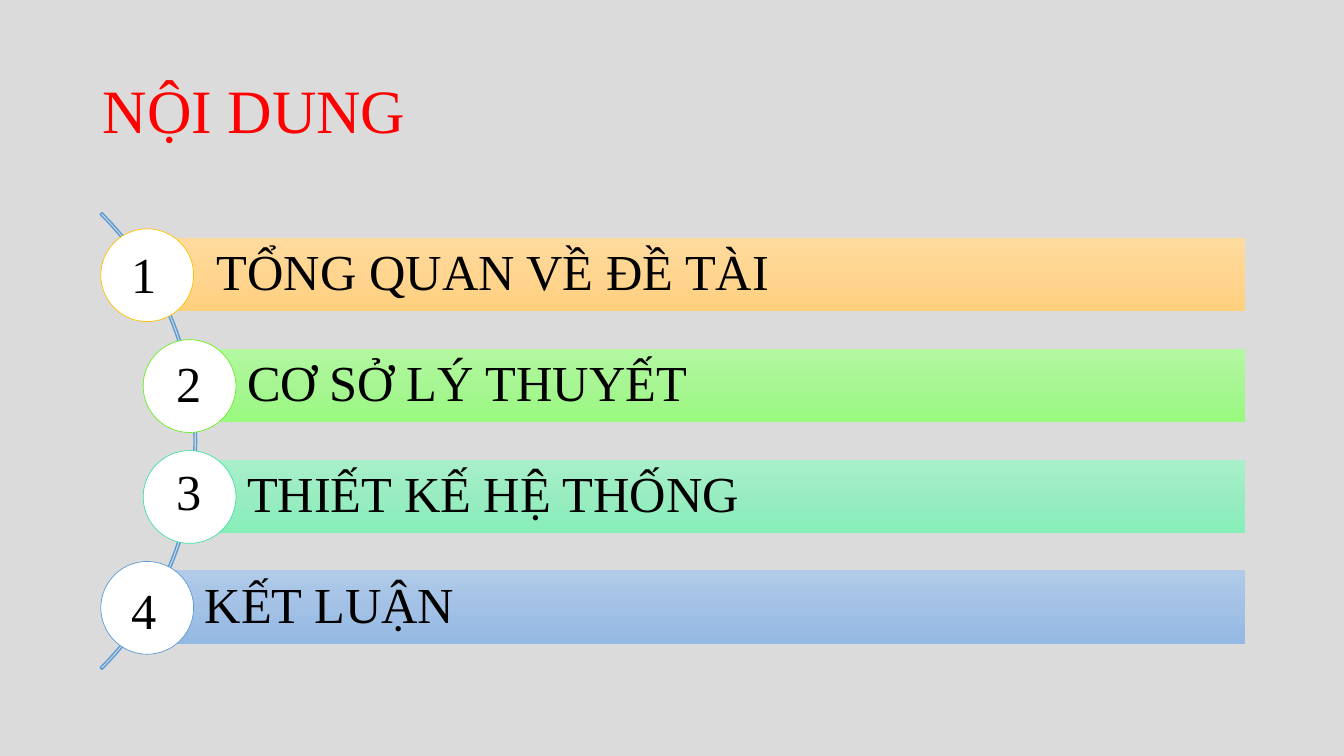
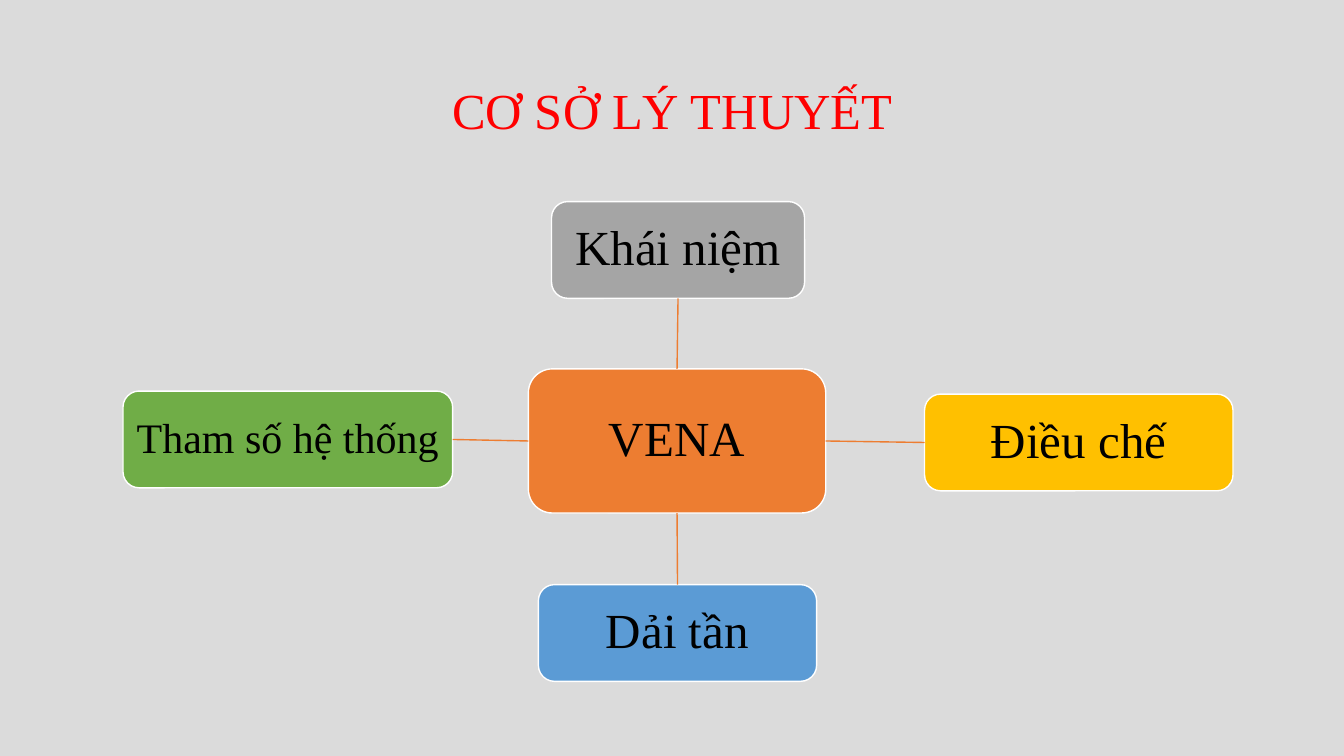
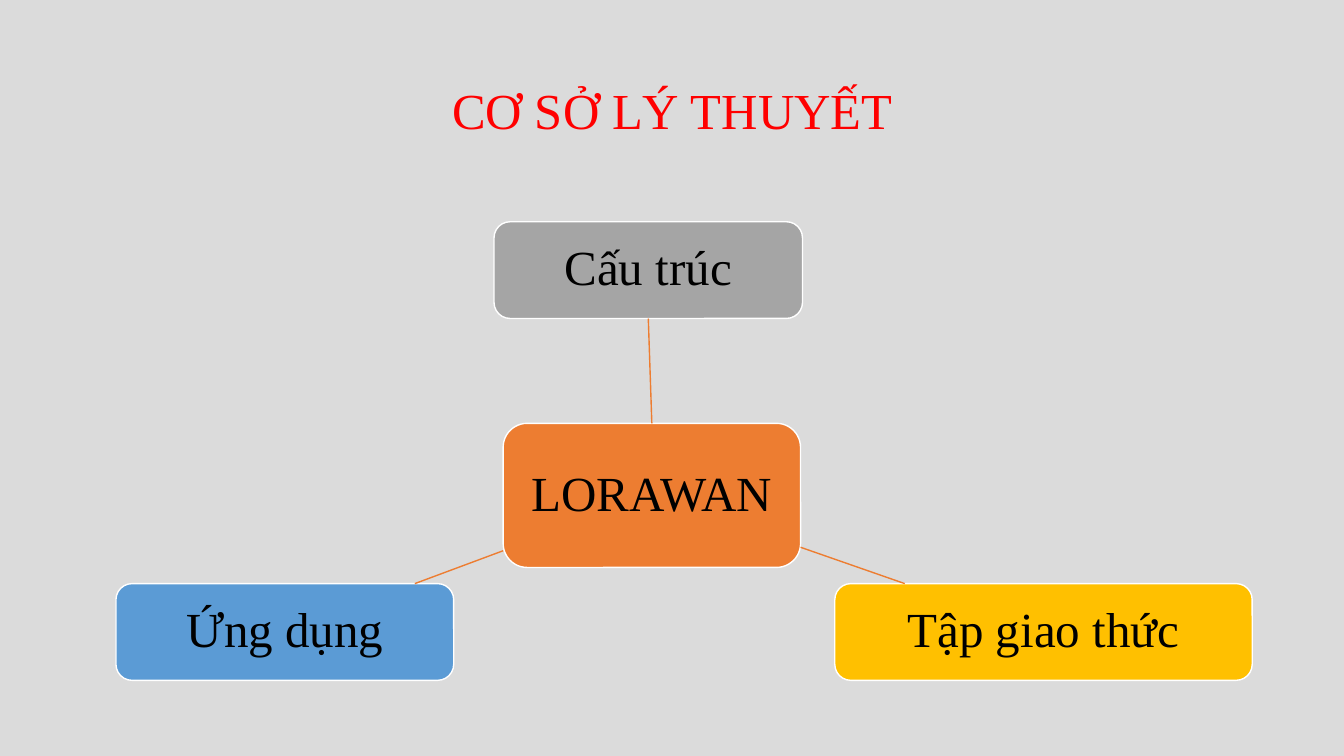
from copy import deepcopy
from typing import NamedTuple

from pptx import Presentation
from pptx.dml.color import RGBColor
from pptx.enum import shapes, text
from pptx.oxml import ns
from pptx.util import Inches, Pt

FONT = "Times New Roman"
BACKGROUND = RGBColor(0xDB, 0xDB, 0xDB)
RED = RGBColor(0xFF, 0x00, 0x00)
BLACK = RGBColor(0x00, 0x00, 0x00)
WHITE = RGBColor(0xFF, 0xFF, 0xFF)
BLUE = RGBColor(0x5B, 0x9B, 0xD5)
ORANGE = RGBColor(0xED, 0x7D, 0x31)
GRAY = RGBColor(0xA5, 0xA5, 0xA5)
GOLD = RGBColor(0xFF, 0xC0, 0x00)
GREEN = RGBColor(0x70, 0xAD, 0x47)
LIME = RGBColor(0x67, 0xEF, 0x21)
MINT = RGBColor(0x3F, 0xE1, 0x9B)

# Gradient stops of the agenda bars, top to bottom
GOLD_BAR = [RGBColor(0xFF, 0xDB, 0x9E), RGBColor(0xFF, 0xD5, 0x90), RGBColor(0xFF, 0xD0, 0x7C)]
LIME_BAR = [RGBColor(0xB3, 0xF8, 0xA1), RGBColor(0xA7, 0xF6, 0x93), RGBColor(0x98, 0xFA, 0x7E)]
MINT_BAR = [RGBColor(0xA8, 0xF0, 0xCA), RGBColor(0x99, 0xEC, 0xC1), RGBColor(0x86, 0xEE, 0xB9)]
BLUE_BAR = [RGBColor(0xB1, 0xCB, 0xE9), RGBColor(0xA3, 0xC1, 0xE5), RGBColor(0x93, 0xB9, 0xE4)]

LEFT, CENTER = text.PP_ALIGN.LEFT, text.PP_ALIGN.CENTER
TOP_SIDE, LEFT_SIDE, BOTTOM_SIDE, RIGHT_SIDE = range(4)


class Box(NamedTuple):
    left: float
    top: float
    width: float
    height: float

    def lengths(self):
        return [Inches(value) for value in self]

    def center(self):
        return self.left + self.width / 2, self.top + self.height / 2

    def edge_toward(self, other):
        """Point where the line between both centres leaves this box."""
        x, y = self.center()
        other_x, other_y = other.center()
        dx, dy = other_x - x, other_y - y
        reach = max(2 * abs(dx) / self.width, 2 * abs(dy) / self.height)
        return Inches(x + dx / reach), Inches(y + dy / reach)


TITLE_BOX = Box(0.92, 0.4, 11.5, 1.45)


def write(shape, words, size, color=BLACK, align=CENTER, inset=0.1, spacing=0.9, wrap=True):
    frame = shape.text_frame
    frame.word_wrap = wrap
    frame.vertical_anchor = text.MSO_ANCHOR.MIDDLE
    frame.margin_left = Inches(inset)
    frame.margin_right = Inches(min(inset, 0.1))
    frame.margin_top = frame.margin_bottom = Inches(0.05)
    paragraph = frame.paragraphs[0]
    paragraph.alignment = align
    paragraph.line_spacing = spacing
    run = paragraph.add_run()
    run.text = words
    run.font.name = FONT
    run.font.size = Pt(size)
    run.font.color.rgb = color


def add_shape(slide, kind, box, fill=None, line=None, line_width=1):
    shape = slide.shapes.add_shape(kind, *box.lengths())
    shape.shadow.inherit = False
    if fill is None:
        shape.fill.background()
    else:
        shape.fill.solid()
        shape.fill.fore_color.rgb = fill
    if line is None:
        shape.line.fill.background()
    else:
        shape.line.color.rgb = line
        shape.line.width = Pt(line_width)
    return shape


def fill_downward(shape, colors):
    """Fill with a top-to-bottom gradient of three evenly spaced colours."""
    shape.fill.gradient()
    stops = shape._element.spPr.find(".//" + ns.qn("a:gsLst"))
    stops.insert(1, deepcopy(stops[0]))
    for stop, position, color in zip(shape.fill.gradient_stops, (0, 0.5, 1), colors):
        stop.position = position
        stop.color.rgb = color
    shape.fill.gradient_angle = 270


def add_titled_slide(presentation, title, size, align):
    slide = presentation.slides.add_slide(presentation.slide_layouts[6])
    slide.background.fill.solid()
    slide.background.fill.fore_color.rgb = BACKGROUND
    write(slide.shapes.add_textbox(*TITLE_BOX.lengths()), title, size, RED, align)
    return slide


def add_agenda_row(slide, bar, words, inset, colors, accent, number, number_box):
    shape = add_shape(slide, shapes.MSO_SHAPE.RECTANGLE, bar)
    fill_downward(shape, colors)
    write(shape, words, 36, align=LEFT, inset=inset)
    disc = Box(bar.left - 0.45, bar.top - 0.09, 0.92, 0.92)
    add_shape(slide, shapes.MSO_SHAPE.OVAL, disc, WHITE, accent, 0.5)
    label = slide.shapes.add_textbox(*number_box.lengths())
    write(label, str(number), 36, spacing=1, wrap=False)


def add_agenda(slide, area):
    """Numbered bars along an arc; area spans the widest bars."""
    arc = add_shape(slide, shapes.MSO_SHAPE.BLOCK_ARC, Box(-4.46, 1.17, 6.41, 6.41), line=BLUE)
    for index, value in enumerate((189, 27, 0.004)):
        arc.adjustments[index] = value
    height, pitch = 0.73, (area.height - 0.73) / 3
    rows = [
        ("TỔNG QUAN VỀ ĐỀ TÀI", 0, 0.7, GOLD_BAR, GOLD, (-0.25, 0)),
        ("CƠ SỞ LÝ THUYẾT", 0.42, 0.58, LIME_BAR, LIME, (0.2, -0.02)),
        ("THIẾT KẾ HỆ THỐNG", 0.42, 0.58, MINT_BAR, MINT, (0.2, -0.05)),
        ("KẾT LUẬN", 0, 0.58, BLUE_BAR, BLUE, (-0.25, 0.03)),
    ]
    for index, (words, indent, inset, colors, accent, (dx, dy)) in enumerate(rows):
        top = area.top + index * pitch
        bar = Box(area.left + indent, top, area.width - indent, height)
        number_box = Box(area.left + dx, top + dy, 0.45, 0.71)
        add_agenda_row(slide, bar, words, inset, colors, accent, index + 1, number_box)


def add_node(slide, box, words, color, size=35):
    shape = add_shape(slide, shapes.MSO_SHAPE.ROUNDED_RECTANGLE, box, color, WHITE)
    write(shape, words, size, inset=0.05)
    return shape


def add_link(slide, hub, hub_box, node, node_box, side):
    """Line from hub to node, joined when the node faces a side of the hub."""
    link = slide.shapes.add_connector(
        shapes.MSO_CONNECTOR.STRAIGHT,
        *hub_box.edge_toward(node_box), *node_box.edge_toward(hub_box))
    link.line.color.rgb = ORANGE
    link.line.width = Pt(1)
    link._element.spPr.get_or_add_effectLst() if hasattr(
        link._element.spPr, "get_or_add_effectLst") else link._element.spPr.append(
        link._element.spPr.makeelement(ns.qn("a:effectLst"), {}))
    if side is not None:
        link.begin_connect(hub, side)
        link.end_connect(node, (side + 2) % 4)


def add_hub_diagram(slide, hub_box, hub_words, nodes):
    """Nodes are (box, words, colour, size, facing side of the hub or None)."""
    hub = add_node(slide, hub_box, hub_words, ORANGE)
    for box, words, color, size, side in nodes:
        node = add_node(slide, box, words, color, size)
        add_link(slide, hub, hub_box, node, box, side)


def main():
    presentation = Presentation()
    presentation.slide_width, presentation.slide_height = Inches(13.33), Inches(7.5)

    agenda = add_titled_slide(presentation, "NỘI DUNG", 44, LEFT)
    add_agenda(agenda, Box(1.45, 2.36, 10.9, 4.03))

    theory = "CƠ SỞ LÝ THUYẾT"
    radio = add_titled_slide(presentation, theory, 36, CENTER)
    add_hub_diagram(radio, Box(5.24, 3.66, 2.95, 1.43), "VENA", [
        (Box(5.47, 2, 2.51, 0.96), "Khái niệm", GRAY, 35, TOP_SIDE),
        (Box(9.17, 3.91, 3.06, 0.96), "Điều chế", GOLD, 35, RIGHT_SIDE),
        (Box(5.34, 5.8, 2.76, 0.96), "Dải tần", BLUE, 35, BOTTOM_SIDE),
        (Box(1.22, 3.88, 3.27, 0.96), "Tham số hệ thống", GREEN, 30, LEFT_SIDE),
    ])

    lorawan = add_titled_slide(presentation, theory, 36, CENTER)
    add_hub_diagram(lorawan, Box(4.99, 4.2, 2.95, 1.43), "LORAWAN", [
        (Box(4.9, 2.2, 3.06, 0.96), "Cấu trúc", GRAY, 35, TOP_SIDE),
        (Box(8.28, 5.79, 4.14, 0.96), "Tập giao thức", GOLD, 35, None),
        (Box(1.15, 5.79, 3.35, 0.96), "Ứng dụng", BLUE, 35, None),
    ])

    presentation.save("out.pptx")


if __name__ == "__main__":
    main()
